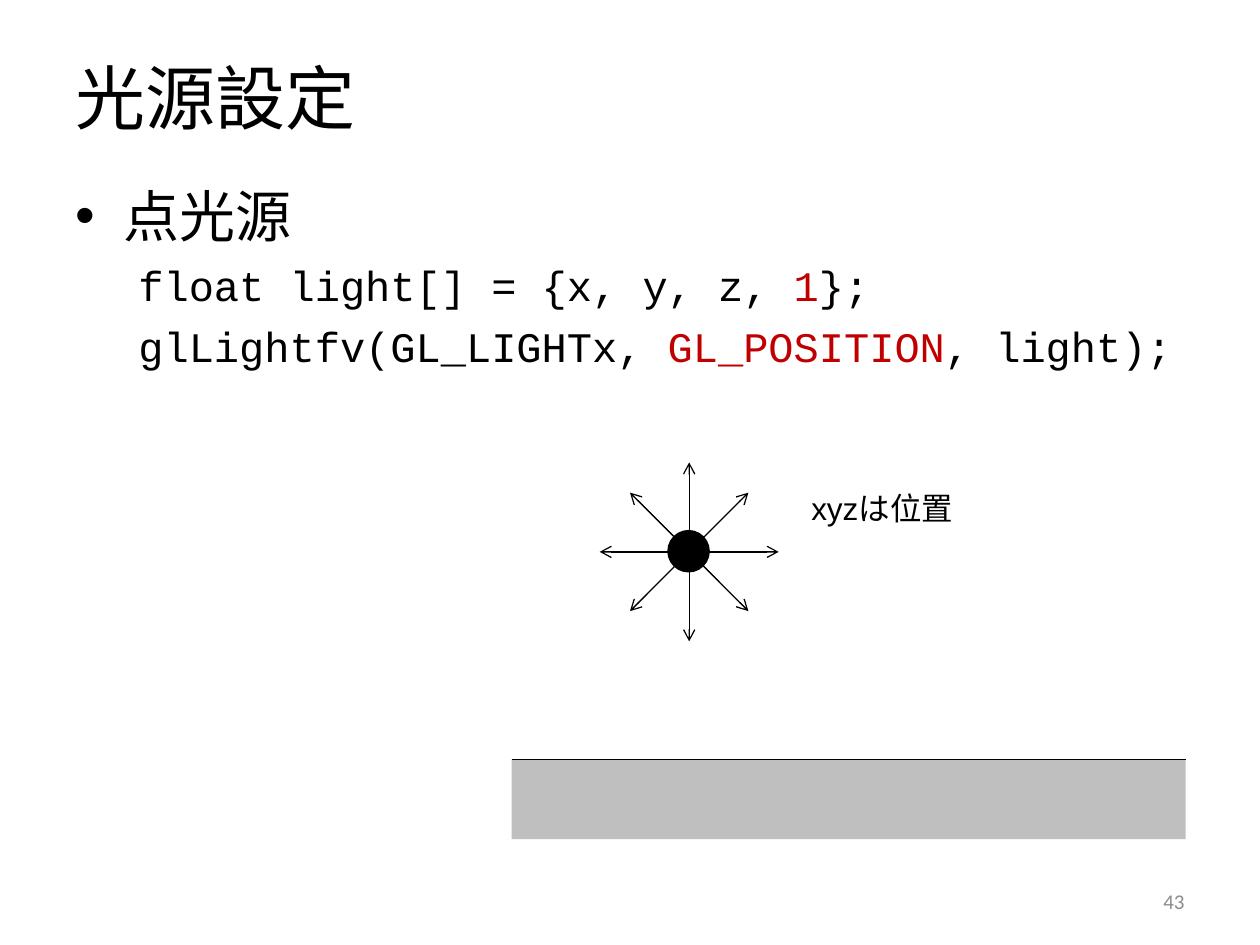
from itertools import product
from lxml import etree
from pptx import Presentation
from pptx.dml.color import RGBColor
from pptx.enum.shapes import MSO_CONNECTOR, MSO_SHAPE
from pptx.enum.text import MSO_ANCHOR, PP_ALIGN
from pptx.oxml.ns import qn
from pptx.util import Pt

LINE = MSO_CONNECTOR.STRAIGHT
RECT, OVAL = MSO_SHAPE.RECTANGLE, MSO_SHAPE.OVAL
TOP, MIDDLE = MSO_ANCHOR.TOP, MSO_ANCHOR.MIDDLE
LEFT, RIGHT = PP_ALIGN.LEFT, PP_ALIGN.RIGHT
PX = 9144
BLACK, RED, GRAY, MUTED = "000000", "C00000", "BFBFBF", "8C8C8C"
BODY, CODE, LABEL = "Calibri", "Courier New", "Arial"


def color(value):
    return RGBColor.from_string(value)


def emu(*values):
    return [value * PX for value in values]


class Canvas:
    def __init__(self, slide):
        self.slide = slide

    def box(self, area, anchor=TOP):
        frame = self.slide.shapes.add_textbox(*emu(*area)).text_frame
        frame.word_wrap = True
        frame.vertical_anchor = anchor
        return frame

    def fill(self, para, parts, size, font, align=LEFT):
        para.alignment = align
        for text, tint in parts:
            run = para.add_run()
            run.text = text
            run.font.size = Pt(size)
            run.font.name = font
            run.font.color.rgb = color(tint)

    def label(self, area, text, size, font=BODY, tint=BLACK, anchor=TOP, align=LEFT):
        frame = self.box(area, anchor)
        self.fill(frame.paragraphs[0], [(text, tint)], size, font, align)

    def indent(self, para, left, first, bullet=None):
        para.space_before = Pt(6)
        props = para._p.get_or_add_pPr()
        props.set("marL", str(left * PX))
        props.set("indent", str(first * PX))
        if bullet:
            etree.SubElement(props, qn("a:buFont")).set("typeface", LABEL)
            etree.SubElement(props, qn("a:buChar")).set("char", bullet)
        else:
            etree.SubElement(props, qn("a:buNone"))

    def shape(self, kind, area, fill, edge=None):
        shape = self.slide.shapes.add_shape(kind, *emu(*area))
        shape.shadow.inherit = False
        shape.fill.solid()
        shape.fill.fore_color.rgb = color(fill)
        if edge:
            shape.line.color.rgb = color(fill)
            shape.line.width = Pt(edge)
        else:
            shape.line.fill.background()

    def line(self, start, end, arrow=False):
        line = self.slide.shapes.add_connector(LINE, *emu(*start, *end))
        line.line.color.rgb = color(BLACK)
        line.line.width = Pt(0.75)
        props = line._element.spPr
        if arrow:
            etree.SubElement(props.find(qn("a:ln")), qn("a:tailEnd")).set("type", "arrow")
        etree.SubElement(props, qn("a:effectLst"))


def main():
    deck = Presentation()
    deck.slide_width, deck.slide_height = emu(1000, 750)
    art = Canvas(deck.slides.add_slide(deck.slide_layouts[6]))

    art.label((50, 30, 900, 93), "光源設定", 40, anchor=MIDDLE)

    body = art.box((50, 139, 900, 551))
    head = body.paragraphs[0]
    art.indent(head, 38, -38, "•")
    art.fill(head, [("点光源", BLACK)], 32, BODY)
    code = [
        ("float light[] = {x, y, z, ", "1", "};"),
        ("glLightfv(GL_LIGHTx, ", "GL_POSITION", ", light);"),
    ]
    for parts in code:
        para = body.add_paragraph()
        para.level = 1
        art.indent(para, 81, -31)
        art.fill(para, zip(parts, (BLACK, RED, BLACK)), 24, CODE)

    art.label((717, 695, 233, 40), "43", 12, tint=MUTED, anchor=MIDDLE, align=RIGHT)

    art.shape(RECT, (406, 603, 535, 63), GRAY)
    art.line((406, 603), (941, 603))
    art.label((634, 383, 268, 81), "xyzは位置", 18, LABEL)

    x, y = 547, 438
    art.shape(OVAL, (x - 16, y - 16, 31, 31), BLACK, 2)
    for dx, dy in product((-1, 0, 1), repeat=2):
        if dx or dy:
            near, far = (11, 47) if dx and dy else (16, 71)
            art.line((x + dx * near, y + dy * near), (x + dx * far, y + dy * far), True)

    deck.save("out.pptx")


if __name__ == "__main__":
    main()
